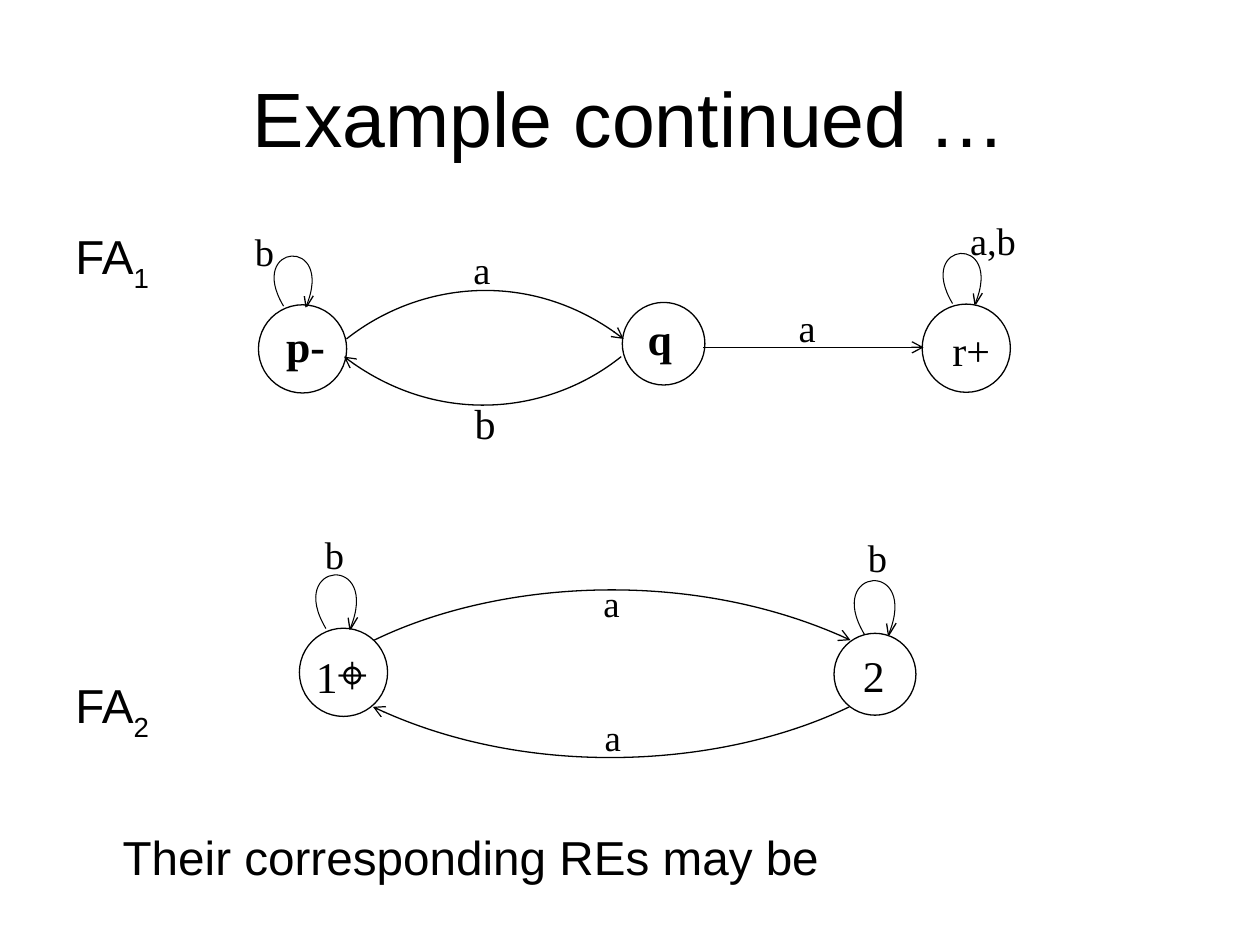
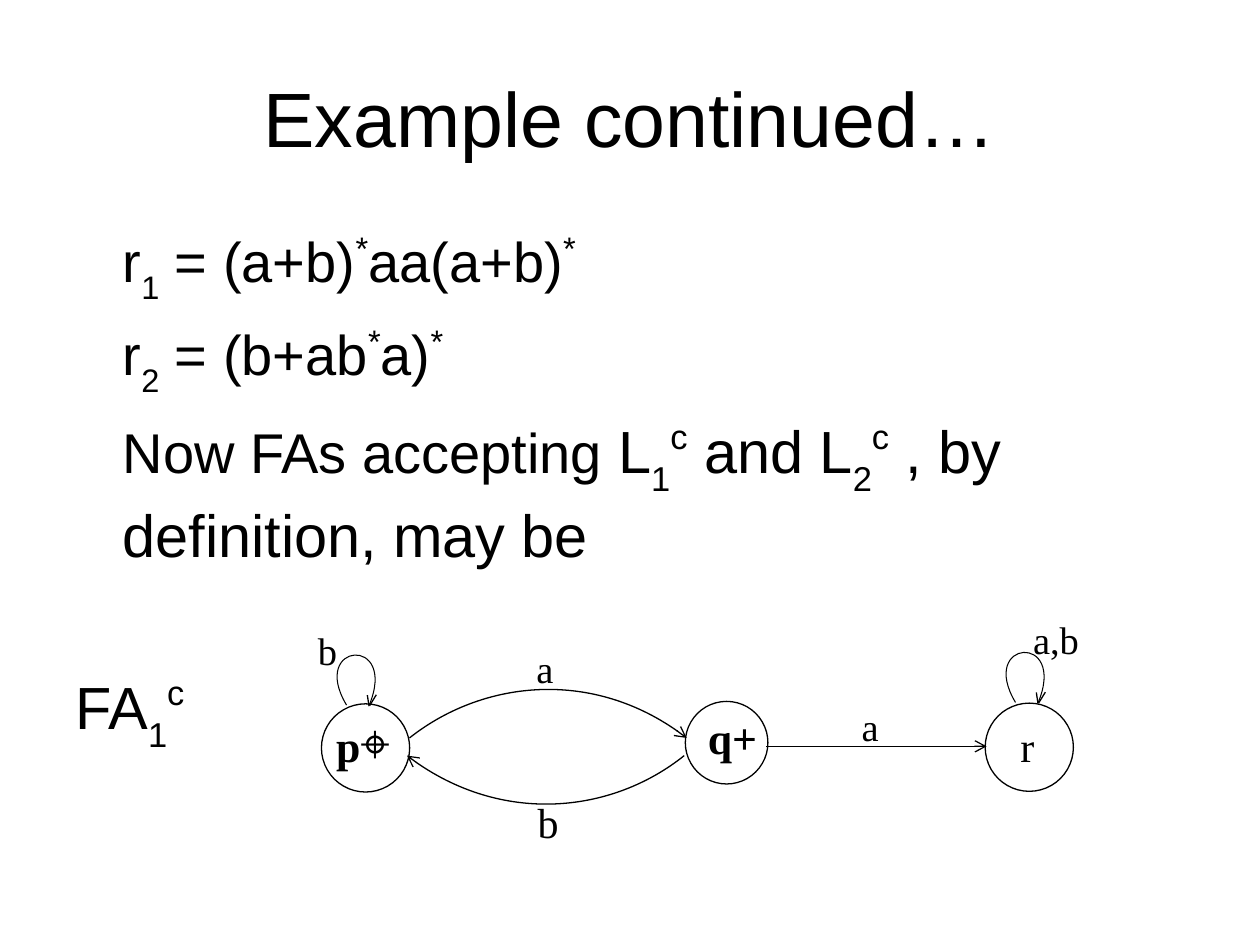
from lxml import etree
from pptx import Presentation
from pptx import util as u
from pptx.dml.color import RGBColor
from pptx.enum import shapes, text
from pptx.oxml.ns import qn

INK, PAPER = "000000", "FFFFFF"
SANS, SERIF = "Arial", "Times New Roman"
BASELINES = {"_": "-30000", "^": "40000"}


def colour(hex_value):
    return RGBColor.from_string(hex_value)


class Deck:
    """Holds the style, the current slide and the offset of the diagram."""

    def __init__(self):
        self.prs = Presentation()
        self.prs.slide_width, self.prs.slide_height = u.Pt(720), u.Pt(540)

    def slide(self, title):
        self.s = self.prs.slides.add_slide(self.prs.slide_layouts[6])
        self.dx = self.dy = 0
        tf = self.box(36, 21.6, 648, 90)
        tf.vertical_anchor = text.MSO_ANCHOR.MIDDLE
        p = tf.paragraphs[0]
        p.alignment = text.PP_ALIGN.CENTER
        self.runs(p, [(title, 44)])

    def place(self, x, y):
        return u.Pt(x + self.dx), u.Pt(y + self.dy)

    # Text
    def box(self, x, y, w, h):
        tf = self.s.shapes.add_textbox(*self.place(x, y), u.Pt(w), u.Pt(h)).text_frame
        tf.word_wrap = True
        return tf

    def runs(self, p, parts, font=SANS, bold=False):
        """Pieces are split by |, a leading _ lowers and a leading ^ raises."""
        for markup, size in parts:
            for piece in markup.split("|"):
                r = p.add_run()
                r.text = piece.lstrip("_^")
                r.font.name, r.font.size, r.font.bold = font, u.Pt(size), bold
                r.font.color.rgb = colour(INK)
                if piece[0] in BASELINES:
                    r.font._element.set("baseline", BASELINES[piece[0]])

    def body(self, lines):
        """Each line is (left margin, space before, parts)."""
        tf = self.box(36, 126, 648, 356.4)
        for i, (margin, before, parts) in enumerate(lines):
            p = tf.add_paragraph() if i else tf.paragraphs[0]
            p._p.get_or_add_pPr().set("marL", str(u.Pt(margin)))
            if before:
                p.space_before = u.Pt(before)
            self.runs(p, parts)

    def label(self, x, y, words, size=22, w=70, bold=False):
        tf = self.box(x, y, w, 30)
        self.runs(tf.paragraphs[0], [(words, size)], SERIF, bold)
        return tf.paragraphs[0]

    def target_label(self, x, y, name, bold=False):
        """A state name followed by the start-and-final sign."""
        self.runs(self.label(x, y, name, 25, bold=bold), [("⌖", 30)], SERIF)

    # Diagram parts
    def stroke(self, sp, width=0.75, arrow=False):
        sp.line.color.rgb, sp.line.width = colour(INK), u.Pt(width)
        if arrow:
            etree.SubElement(sp.line._get_or_add_ln(), qn("a:tailEnd"), type="arrow")

    def state(self, x, y, d):
        sp = self.s.shapes.add_shape(shapes.MSO_SHAPE.OVAL, *self.place(x, y),
                                     u.Pt(d), u.Pt(d))
        sp.shadow.inherit = False
        sp.fill.solid()
        sp.fill.fore_color.rgb = colour(PAPER)
        self.stroke(sp)

    def outline(self, points, width=0.75, arrow=False, turn=0):
        """Two points make a straight stroke, four make a cubic curve."""
        start, *rest = [self.place(*pt) for pt in points]
        fb = self.s.shapes.build_freeform(*start)
        fb.add_line_segments(rest, close=False)
        sp = fb.convert_to_shape()
        if len(rest) == 3:
            segments = list(sp._element.iter(qn("a:lnTo")))
            curve = etree.SubElement(segments[0].getparent(), qn("a:cubicBezTo"))
            for segment in segments:
                curve.append(segment[0])
                segment.getparent().remove(segment)
        sp.shadow.inherit = False
        sp.fill.background()
        sp.rotation = turn
        self.stroke(sp, width, arrow)

    def arc(self, *controls):
        self.outline(controls, arrow=True)

    def arrow(self, start, end):
        sp = self.s.shapes.add_connector(shapes.MSO_CONNECTOR.STRAIGHT,
                                         *self.place(*start), *self.place(*end))
        self.stroke(sp, arrow=True)
        etree.SubElement(sp._element.spPr, qn("a:effectLst"))

    def loop(self, x, y, scale=1):
        def near(*offsets):
            return [(x + a * scale, y + b * scale) for a, b in offsets]
        self.outline(near((1.9, 0.1), (-22.8, -33.9), (27.8, -42.6), (14.8, -1)),
                     0.6, turn=5)
        self.outline(near((13, 0), (17.3, -5.8)), turn=355)
        self.outline(near((12.2, -5.8), (12.6, 0.6)), turn=355)

    # Three-state automaton, used on both slides
    def three_states(self, dx=0, dy=0):
        self.dx, self.dy = dx, dy
        for state in ((147.7, 174.2, 50.4), (355.6, 172.8, 47.2), (527, 173.8, 50.4)):
            self.state(*state)
        self.loop(162, 175)
        self.loop(544.3, 173.5)
        self.arc((198, 193.7), (239, 161.3), (304.6, 153.4), (356.4, 193.7))
        self.arc((355, 203.8), (314.6, 236.2), (249.1, 244.1), (196.6, 203.8))
        self.arrow((401.8, 198.5), (527.8, 198.5))
        self.label(138.5, 126.7, "b")
        self.label(547.2, 120.6, "a,b")
        self.label(263.5, 136.8, "a", w=30)
        self.label(449.3, 170, "a", w=30)
        self.label(264.2, 223.6, "b", 24, w=30)
        self.dx = self.dy = 0

    # Two-state automaton
    def two_states(self):
        self.state(171.1, 359, 50.4)
        self.state(476.6, 361.9, 46.8)
        self.loop(186.2, 359.2, 1.07)
        self.loop(493.9, 362.5, 1.07)
        self.arc((213.8, 365.8), (283.7, 331.9), (396, 324), (486, 365.8))
        self.arc((485.3, 403.9), (415.4, 437.8), (302.4, 446.4), (213.1, 403.9))
        self.label(178.6, 300.2, "b")
        self.label(488.9, 301.7, "b")
        self.label(337.7, 328.6, "a", 21, w=28)
        self.label(338.4, 405.1, "a", 21, w=28)
        self.target_label(173.4, 362.5, "1")
        self.label(486, 367, "2", 25)


def main():
    deck = Deck()

    # Slide 1: both automata
    deck.slide("Example continued …")
    deck.body([(0, 0, [("FA|_1", 27.2)]),
               (0, 218, [("FA|_2", 27.2)]),
               (27, 48.7, [("Their corresponding REs may be", 27.2)])])
    deck.two_states()
    deck.three_states()
    deck.label(156.4, 178.6, "p-", 25, bold=True)
    deck.label(363, 174.4, "q", 25, bold=True)
    deck.label(537.1, 181.8, "r+", 24)

    # Slide 2: expressions and the complement of the first automaton
    deck.slide("Example continued…")
    deck.body([(27, 0, [("r|_1| = (a+b)|^*|aa(a+b)|^*", 32)]),
               (27, 8, [("r|_2| = (b+ab|^*|a)|^*", 32)]),
               (27, 8.5, [("Now FAs accepting ", 32),
                          ("L|_1|^c| and L|_2|^c| , by definition, may be", 34)]),
               (0, 57.5, [("FA|_1|^c", 34)])])
    deck.three_states(36, 228)
    deck.target_label(185, 402.5, "p", bold=True)
    deck.label(397.4, 402.5, "q+", 25, bold=True)
    deck.label(576, 408.2, "r", 24)

    deck.prs.save("out.pptx")


if __name__ == "__main__":
    main()
